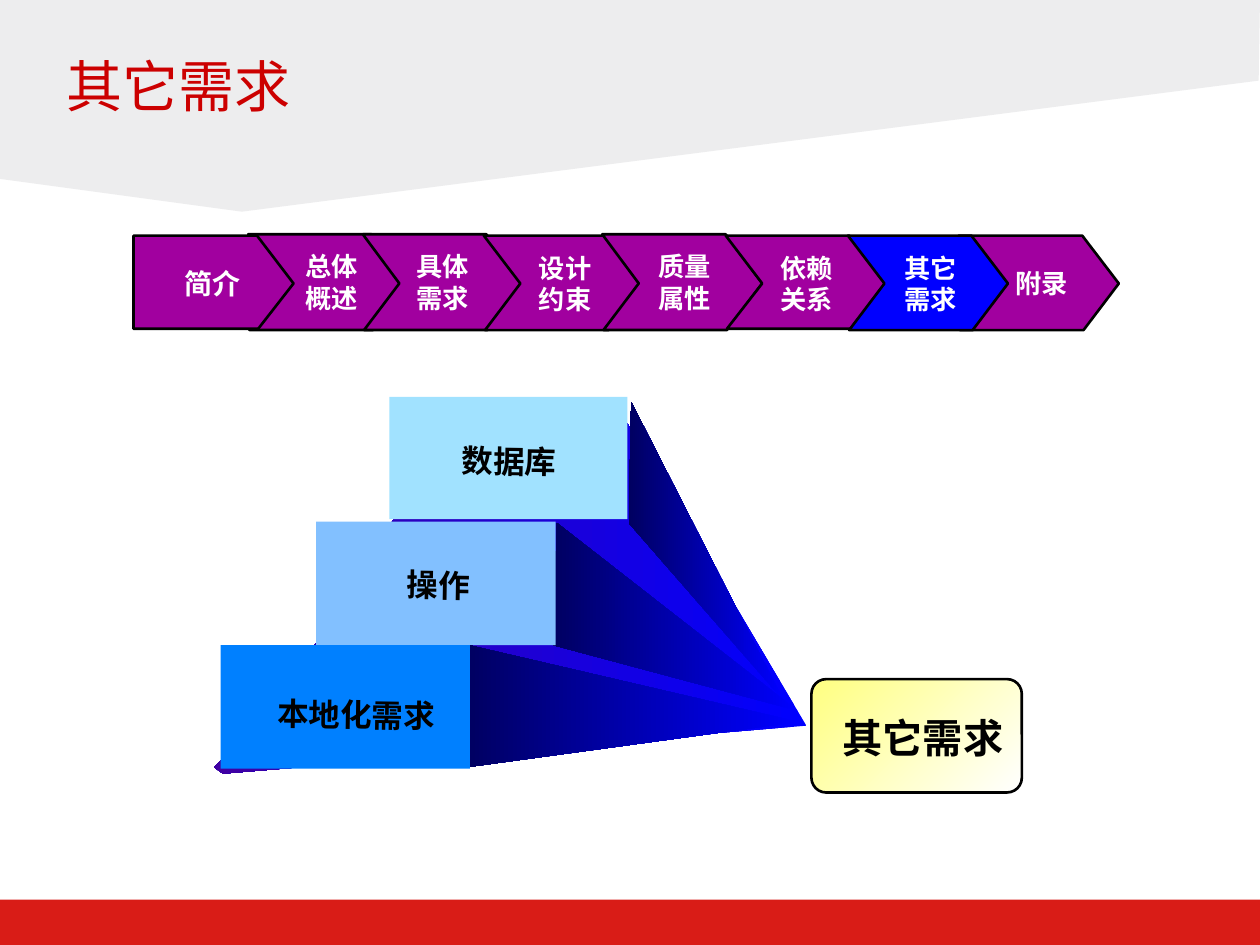
from typing import NamedTuple

from lxml.etree import SubElement
from pptx import Presentation
from pptx.dml.color import RGBColor
from pptx.enum.shapes import MSO_SHAPE
from pptx.enum.text import MSO_ANCHOR, PP_ALIGN
from pptx.oxml.ns import qn
from pptx.util import Inches, Pt

CJK = "Noto Sans CJK SC"
PURPLE, BLUE, NAVY = "A1009F", "0000FF", "000061"
BLACK, WHITE = "000000", "FFFFFF"

Point = tuple[float, float]
Box = tuple[float, float, float, float]


class Step(NamedTuple):
    label: str
    left: float
    top: float
    bottom: float
    label_left: float
    fill: str = PURPLE
    size: int = 15
    notched: bool = True


class Stair(NamedTuple):
    label: str
    box: Box
    fill: str
    label_box: Box
    beam: list[Point]
    font: str = CJK


# Back to front: later steps overlap earlier ones
STEPS = [
    Step("总体概述", 1.97, 1.86, 2.62, 2.35),
    Step("具体需求", 2.88, 1.86, 2.62, 3.23),
    Step("设计约束", 3.84, 1.87, 2.62, 4.2),
    Step("质量属性", 4.78, 1.86, 2.62, 5.15),
    Step("简介", 1.06, 1.87, 2.61, 1.4, size=16, notched=False),
    Step("附录", 7.61, 1.87, 2.62, 7.98),
    Step("依赖关系", 5.76, 1.87, 2.61, 6.12),
    Step("其它需求", 6.73, 1.87, 2.62, 7.1, fill=BLUE),
]

STAIRS = [
    Stair("数据库", (3.09, 3.15, 1.89, 0.97), "A1E2FF", (3.26, 3.49, 1.56, 0.34),
          [(5.01, 3.19), (4.99, 4.15), (6.22, 5.56)]),
    Stair("操作", (2.51, 4.14, 1.9, 0.98), "82C0FF", (2.7, 4.47, 1.56, 0.34),
          [(4.42, 4.15), (4.39, 5.12), (6.33, 5.64)]),
    Stair("本地化需求", (1.75, 5.12, 1.98, 0.98), "0080FF", (2.05, 5.5, 1.55, 0.34),
          [(3.72, 5.12), (3.7, 6.09), (6.34, 5.73)], font="Arial"),
]

BACK_FAN = [(4.98, 3.36), (3.14, 4.08), (3.12, 4.13), (2.53, 5.08), (1.77, 6.02),
            (1.7, 6.09), (1.77, 6.14), (6.4, 5.76)]


def color(hex_code: str) -> RGBColor:
    return RGBColor.from_string(hex_code)


def style(sp, fill: str, line: str | None = None) -> None:
    sp.shadow.inherit = False
    sp.fill.solid()
    sp.fill.fore_color.rgb = color(fill)
    if line:
        sp.line.color.rgb = color(line)
        sp.line.width = Pt(1.5)
    else:
        sp.line.fill.background()


def shade(sp, start: str, end: str, angle: float) -> None:
    sp.fill.gradient()
    sp.fill.gradient_angle = angle
    for stop, hex_code in zip(sp.fill.gradient_stops, (start, end)):
        stop.color.rgb = color(hex_code)


def add_box(s, box: Box, fill: str, line: str | None = None, kind=MSO_SHAPE.RECTANGLE):
    sp = s.shapes.add_shape(kind, *map(Inches, box))
    style(sp, fill, line)
    return sp


def add_outline(s, points: list[Point], fill: str, line: str | None = None):
    first, *rest = [(Inches(x), Inches(y)) for x, y in points]
    builder = s.shapes.build_freeform(*first)
    builder.add_line_segments(rest, close=True)
    sp = builder.convert_to_shape()
    style(sp, fill, line)
    return sp


def add_text(s, text: str, box: Box, size: int, hex_code: str, font: str = CJK,
             bold: bool = True, rotation: float = 0):
    sp = s.shapes.add_textbox(*map(Inches, box))
    sp.rotation = rotation
    tf = sp.text_frame
    tf.word_wrap = True
    tf.vertical_anchor = MSO_ANCHOR.MIDDLE
    tf.margin_left = tf.margin_right = tf.margin_top = tf.margin_bottom = 0
    p = tf.paragraphs[0]
    p.alignment = PP_ALIGN.CENTER
    r = p.add_run()
    r.text = text
    r.font.size, r.font.bold, r.font.name = Pt(size), bold, font
    r.font.color.rgb = color(hex_code)
    SubElement(r.font._element, qn("a:ea")).set("typeface", CJK)
    return sp


def draw_step(s, step: Step) -> None:
    left, top, bottom = step.left, step.top, step.bottom
    points = [(left, top), (left + 0.98, top), (left + 1.27, 2.25), (left + 0.99, bottom)]
    if step.notched:
        points += [(left + 0.01, bottom), (left + 0.29, 2.25)]
    else:
        points += [(left, bottom)]
    add_outline(s, points, step.fill, BLACK)
    add_text(s, step.label, (step.label_left, top + 0.11, 0.57, 0.54), step.size, WHITE)


def draw_stair(s, stair: Stair) -> None:
    shade(add_outline(s, stair.beam, BLUE), BLUE, NAVY, 180)
    add_box(s, stair.box, stair.fill)


def main() -> None:
    prs = Presentation()
    prs.slide_width, prs.slide_height = Inches(10), Inches(7.5)
    s = prs.slides.add_slide(prs.slide_layouts[6])

    # Background bands and title
    add_box(s, (0, 7.14, 10, 0.36), "D91C17")
    add_outline(s, [(0, 0), (10, 0), (9.99, 0.64), (1.92, 1.68), (0, 1.42)], "EDEDEE")
    title = add_text(s, "其它需求", (0.53, 0.41, 7.37, 0.84), 32, "CC0000",
                     font="Times New Roman", bold=False)
    title.text_frame.vertical_anchor = MSO_ANCHOR.TOP
    title.text_frame.paragraphs[0].alignment = PP_ALIGN.LEFT

    # Chevron navigation
    for step in STEPS:
        draw_step(s, step)

    # Stairs converging on the result
    shade(add_outline(s, BACK_FAN, BLUE), BLUE, "4000A2", 180)
    for stair in STAIRS:
        draw_stair(s, stair)
    for stair in STAIRS:
        add_text(s, stair.label, stair.label_box, 18, BLACK, stair.font, rotation=1)

    # Result box
    result = add_box(s, (6.44, 5.39, 1.67, 0.9), WHITE, BLACK, MSO_SHAPE.ROUNDED_RECTANGLE)
    result.adjustments[0] = 0.13
    shade(result, WHITE, "FFFF80", 135)
    add_text(s, "其它需求", (6.6, 5.46, 1.45, 0.78), 23, BLACK)

    prs.save("out.pptx")


if __name__ == "__main__":
    main()
